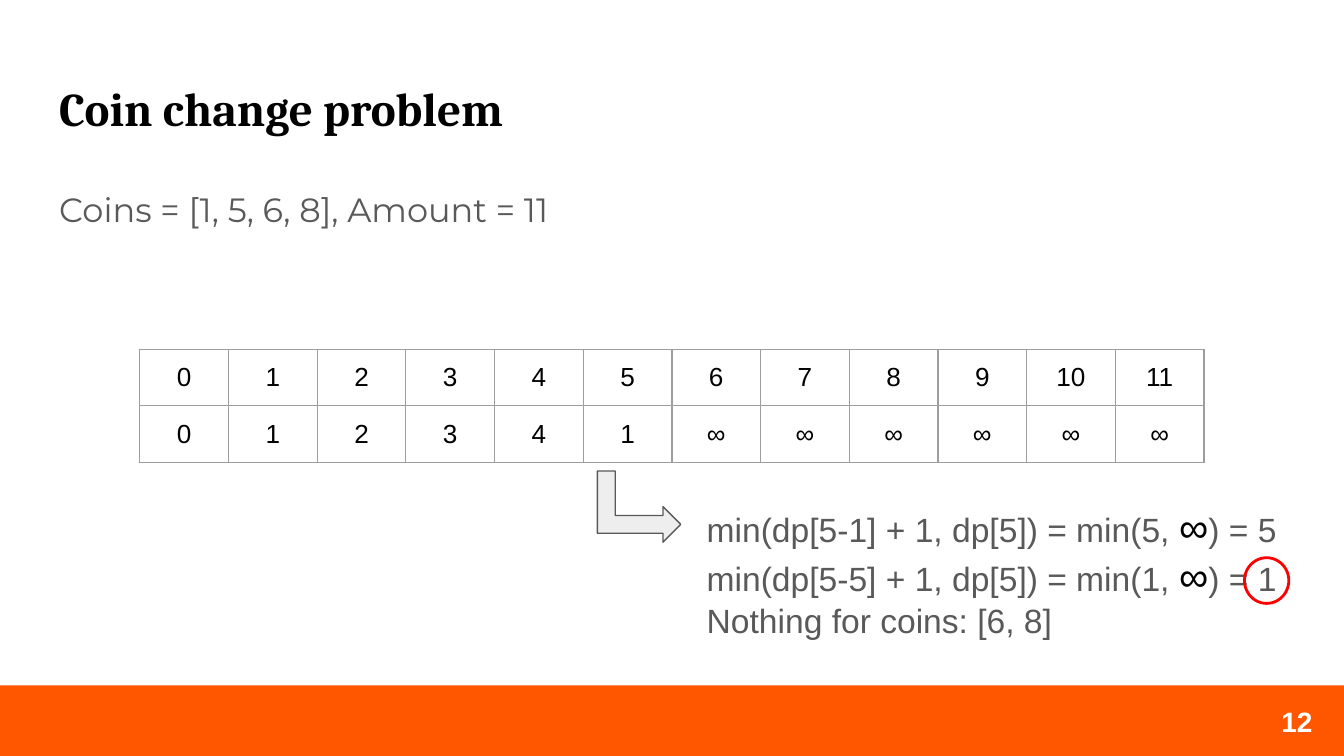
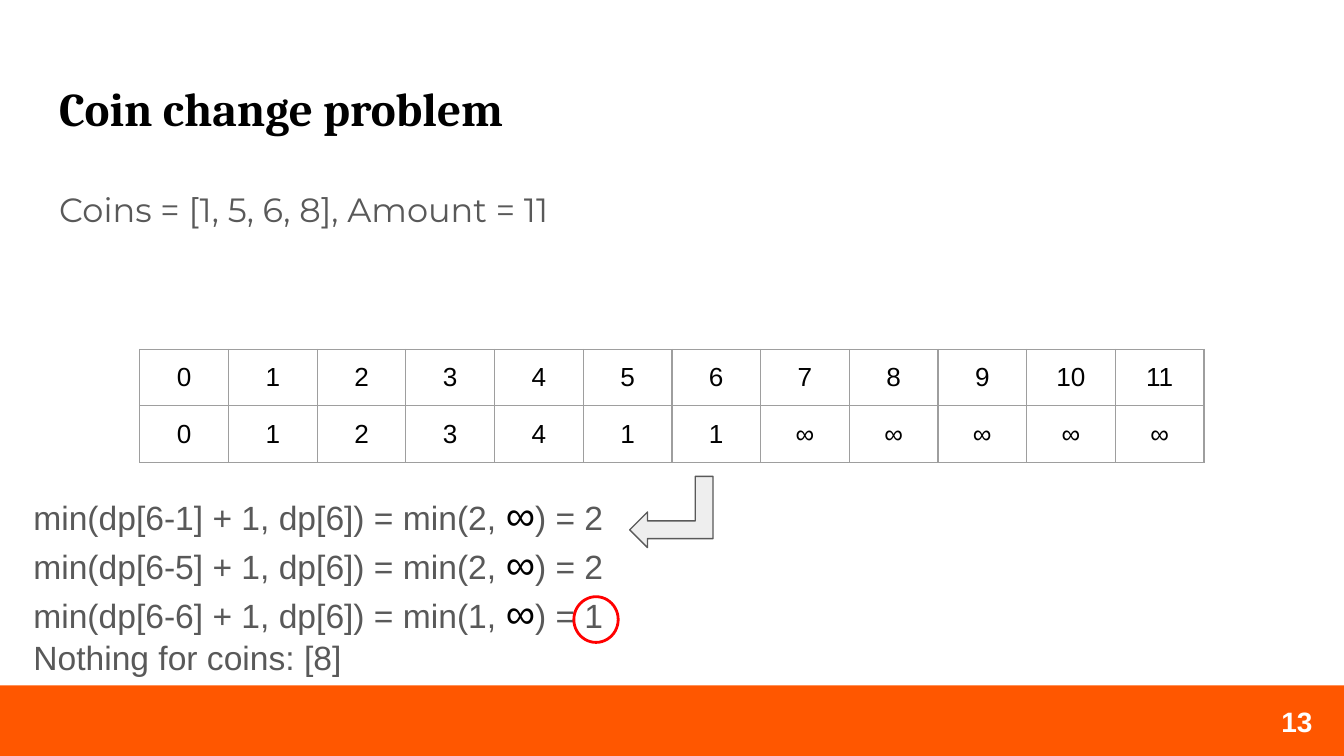
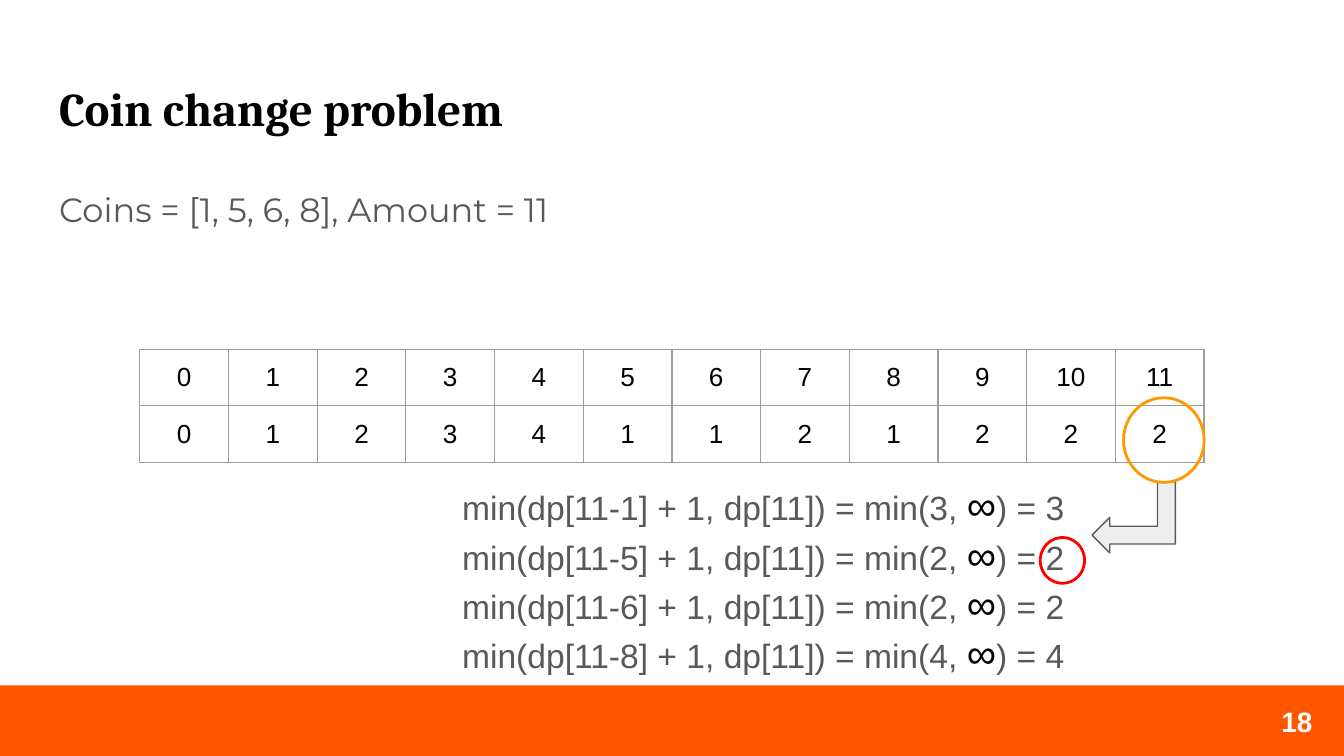
"""Build three slides that trace the coin change table."""
from lxml import etree
from pptx import Presentation
from pptx.dml.color import RGBColor
from pptx.enum.shapes import MSO_SHAPE
from pptx.enum.text import MSO_ANCHOR, MSO_AUTO_SIZE, PP_ALIGN
from pptx.oxml.ns import qn
from pptx.util import Inches, Pt

RECT, OVAL, BENT = MSO_SHAPE.RECTANGLE, MSO_SHAPE.OVAL, MSO_SHAPE.BENT_UP_ARROW
TOP, MIDDLE = MSO_ANCHOR.TOP, MSO_ANCHOR.MIDDLE
LEFT, CENTER = PP_ALIGN.LEFT, PP_ALIGN.CENTER
FIXED = MSO_AUTO_SIZE.NONE

THEME = {
    "band": "FF5700", "grid": "9E9E9E", "arrow": "EEEEEE", "edge": "595959",
    "pick": "FF0000", "goal": "FF9900",
    "title": ({"size": Pt(25.2), "name": "Cambria", "bold": True}, "000000"),
    "body": ({"size": Pt(18), "name": "Montserrat", "bold": False}, "595959"),
    "page": ({"size": Pt(15), "name": "Arial", "bold": True}, "FFFFFF"),
    "cell": ({"size": Pt(14), "name": "Arial", "bold": False}, "000000"),
    "step": ({"size": Pt(18), "name": "Arial", "bold": False}, "595959"),
    "inf": ({"size": Pt(22), "name": "Arial", "bold": False}, "000000"),
}
PAD = Inches(0.1)
INSET = {"margin_left": PAD, "margin_right": PAD, "margin_top": PAD, "margin_bottom": PAD}
COINS, AMOUNT = [1, 5, 6, 8], 11
INF = "∞"


def write(frame, lines, align=LEFT):
    """Fill a text frame with lines, each a list of (text, style) runs."""
    for num, line in enumerate(lines):
        para = frame.paragraphs[0] if num == 0 else frame.add_paragraph()
        para.alignment = align
        for text, style in line:
            run = para.add_run()
            run.text = text
            look, color = THEME[style]
            for key, value in look.items():
                setattr(run.font, key, value)
            run.font.color.rgb = RGBColor.from_string(color)


def draw(slide, kind, box, fill=None, line=None, width=0.75):
    """Add a flat shape with the given fill and line."""
    shape = slide.shapes.add_shape(kind, *map(Inches, box))
    shape.shadow.inherit = False
    for part, color in ((shape.fill, fill), (shape.line.fill, line)):
        if color:
            part.solid()
            part.fore_color.rgb = RGBColor.from_string(THEME[color])
        else:
            part.background()
    if line:
        shape.line.width = Pt(width)
    return shape


SLIDES = [
    {"page": 12, "cell": 5, "steps": (5.16, 3.63, 4.79, 1.2),
     "arrow": (4.49, 3.46), "turn": 90, "rings": [("pick", (9.26, 4.15, 0.33, 0.34))]},
    {"page": 13, "cell": 6, "steps": (0.15, 3.54, 4.85, 1.54),
     "arrow": (4.73, 3.5), "turn": 270, "rings": [("pick", (4.27, 4.44, 0.33, 0.34))]},
    {"page": 18, "cell": 11, "steps": (3.34, 3.47, 4.85, 1.54),
     "arrow": (8.17, 3.54), "turn": 270,
     "rings": [("goal", (8.36, 2.96, 0.6, 0.63)), ("pick", (7.74, 4, 0.33, 0.34))]},
]

best = [0]
for total in range(1, AMOUNT + 1):
    best.append(min(best[total - coin] + 1 for coin in COINS if coin <= total))

deck = Presentation()
deck.slide_width, deck.slide_height = Inches(10), Inches(5.625)
layout = deck.slide_layouts[1]

for data in SLIDES:
    slide = deck.slides.add_slide(layout)
    if data is SLIDES[0]:
        band = draw(slide, RECT, (0, 5.1, 10, 0.53), "band")
        layout.shapes.element.append(band.element)

    title, body = slide.placeholders
    page = slide.shapes.add_textbox(*map(Inches, (9.35, 5.15, 0.6, 0.43)))
    steps = slide.shapes.add_textbox(*map(Inches, data["steps"]))
    for shape, box in ((title, (0.34, 0.49, 9.32, 0.63)), (body, (0.34, 1.26, 9.32, 3.74))):
        shape.left, shape.top, shape.width, shape.height = map(Inches, box)
    for shape, anchor in ((title, TOP), (body, TOP), (page, MIDDLE), (steps, TOP)):
        rules = {**INSET, "word_wrap": True, "auto_size": FIXED, "vertical_anchor": anchor}
        for key, value in rules.items():
            setattr(shape.text_frame, key, value)

    write(title.text_frame, [[("Coin change problem", "title")]])
    write(body.text_frame, [[(f"Coins = {COINS}, Amount = {AMOUNT}", "body")]])
    para = body.text_frame.paragraphs[0]
    para.line_spacing, para.space_before, para.space_after = 1.15, Pt(0), Pt(12)
    props = para._p.get_or_add_pPr()
    props.set("marL", "0")
    props.set("indent", "0")
    etree.SubElement(props, qn("a:buNone"))
    write(page.text_frame, [[(str(data["page"]), "page")]], CENTER)

    frame = slide.shapes.add_table(2, AMOUNT + 1, *map(Inches, (1.04, 2.6, 7.92, 0.84)))
    table = frame.table
    table.first_row = table.horz_banding = False
    spot = data["cell"]
    known = [n if i <= spot else INF for i, n in enumerate(best)]
    for row, values in enumerate((range(AMOUNT + 1), known)):
        table.rows[row].height = Inches(0.42)
        for col, value in enumerate(values):
            table.columns[col].width = Inches(0.66)
            cell = table.cell(row, col)
            for key, size in INSET.items():
                setattr(cell, key, size)
            write(cell.text_frame, [[(str(value), "cell")]], CENTER)
            cell.fill.background()
            props = cell._tc.get_or_add_tcPr()
            for place, side in enumerate(("lnL", "lnR", "lnT", "lnB")):
                edge = etree.Element(qn(f"a:{side}"), w=str(Pt(0.75)))
                paint = etree.SubElement(edge, qn("a:solidFill"))
                etree.SubElement(paint, qn("a:srgbClr"), val=THEME["grid"])
                props.insert(place, edge)

    lines = []
    for coin in COINS:
        if coin <= spot:
            cost = best[spot - coin] + 1
            lines.append([(f"min(dp[{spot}-{coin}] + 1, dp[{spot}]) = min({cost}, ", "step"),
                          (INF, "inf"), (f") = {cost}", "step")])
    large = [coin for coin in COINS if coin > spot]
    if large:
        lines.append([(f"Nothing for coins: {large}", "step")])
    write(steps.text_frame, lines)

    arrow = draw(slide, BENT, (*data["arrow"], 0.53, 0.62), "arrow", "edge")
    arrow.rotation = data["turn"]
    if data["turn"] == 270:
        arrow.element.spPr.xfrm.set("flipH", "1")
    for color, box in data["rings"]:
        draw(slide, OVAL, box, line=color, width=1.5)

deck.save("out.pptx")
